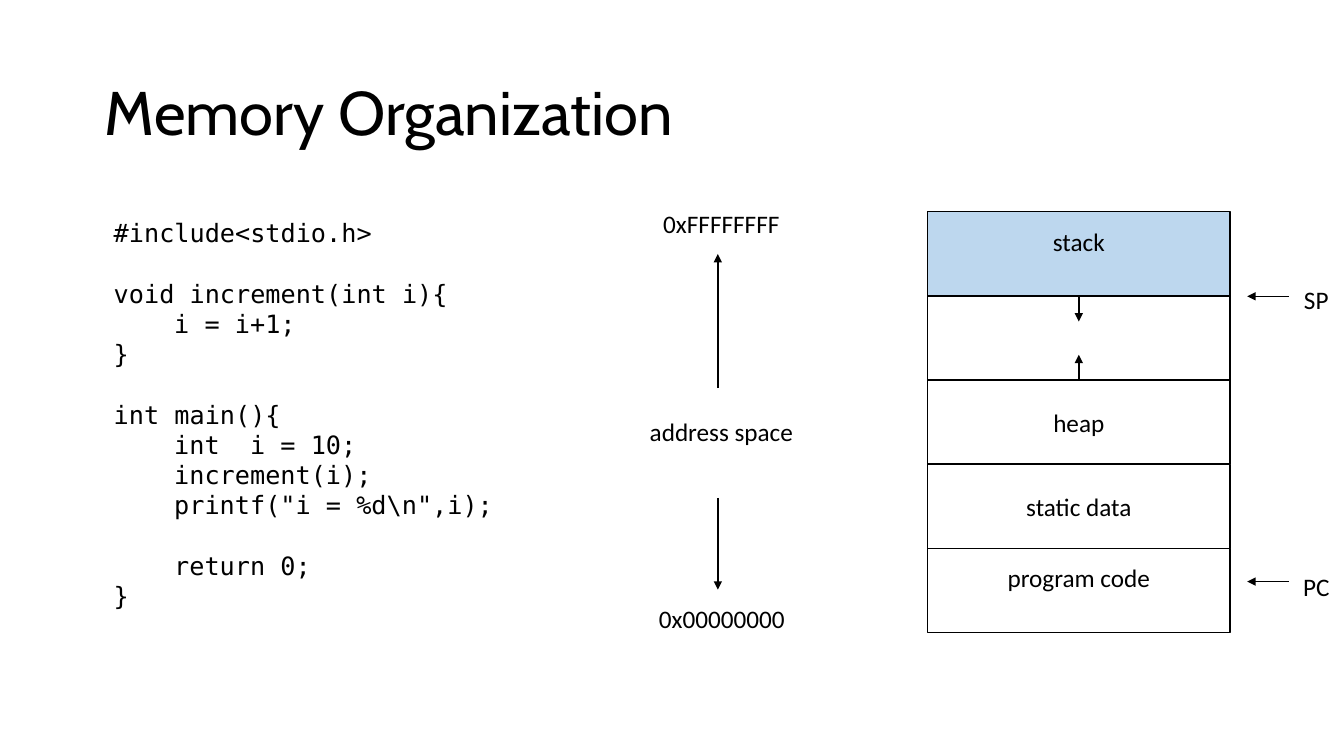
from lxml import etree
from pptx import Presentation
from pptx.dml.color import RGBColor
from pptx.enum.shapes import MSO_CONNECTOR, MSO_SHAPE
from pptx.enum.text import MSO_ANCHOR, MSO_AUTO_SIZE, PP_ALIGN
from pptx.oxml.ns import qn
from pptx.util import Inches, Pt

RECT = MSO_SHAPE.RECTANGLE
LINE = MSO_CONNECTOR.STRAIGHT
LEFT = PP_ALIGN.LEFT
MID = PP_ALIGN.CENTER
TOP = MSO_ANCHOR.TOP
CENTER = MSO_ANCHOR.MIDDLE
FIXED = MSO_AUTO_SIZE.NONE
BLACK = "000000"


def color(code):
    return RGBColor.from_string(code)


def write(frame, text, font="Calibri", size=18, align=MID, anchor=TOP, space=None):
    frame.word_wrap = True
    frame.auto_size = FIXED
    frame.vertical_anchor = anchor
    frame.text = text
    for para in frame.paragraphs:
        para.alignment = align
        para.line_spacing = space
        para.font.name = font
        para.font.size = Pt(size)
        para.font.color.rgb = color(BLACK)


deck = Presentation()
deck.slide_width = Inches(13.33)
deck.slide_height = Inches(7.5)
slide = deck.slides.add_slide(deck.slide_layouts[5])
shapes = slide.shapes

title = shapes.title
title.left, title.top = Inches(0.94), Inches(0.42)
title.width, title.height = Inches(11.5), Inches(1.45)
write(title.text_frame, "Memory Organization", font="Cabin", size=44,
      align=LEFT, anchor=CENTER, space=0.9)

code = [
    ("#include<stdio.h>", 0, 0),
    ("void increment(int i){", 0, 1),
    ("i = i+1;", 1, 0),
    ("}", 0, 0),
    ("int main(){", 0, 1),
    ("int  i = 10;", 1, 0),
    ("increment(i);", 1, 0),
    ('printf("i = %d\\n",i);', 1, 0),
    ("return 0;", 1, 1),
    ("}", 0, 0),
]
pitch = Pt(21.6)
box = shapes.add_textbox(Inches(1.03), Inches(2.11), Inches(5), Inches(4.34))
write(box.text_frame, "\n".join(row[0] for row in code),
      font="DejaVu Sans Mono", align=LEFT, space=pitch)
for para, (text, depth, gap) in zip(box.text_frame.paragraphs, code):
    para.space_before = pitch * gap
    para._p.get_or_add_pPr().set("marL", str(Inches(0.6) * depth))

labels = [
    ("0xFFFFFFFF", 6.31, 2.02, 1.69),
    ("address space", 6.24, 4.08, 1.83),
    ("0x00000000", 6.37, 5.94, 1.58),
    ("SP", 12.78, 2.77, 0.55),
    ("PC", 12.78, 5.62, 0.55),
]
for text, left, top, width in labels:
    box = shapes.add_textbox(Inches(left), Inches(top), Inches(width), Inches(0.4))
    write(box.text_frame, text)

cells = [
    ("stack", "BDD7EE", 0.3),
    ("", "FFFFFF", 0.05),
    ("heap", "FFFFFF", 0.05),
    ("static data", "FFFFFF", 0.05),
    ("program code", "FFFFFF", 0.3),
]
step = 0.835
for row, (text, fill, inset) in enumerate(cells):
    cell = shapes.add_shape(RECT, Inches(9.2), Inches(2.1 + row * step),
                            Inches(3), Inches(step))
    cell.shadow.inherit = False
    cell.fill.solid()
    cell.fill.fore_color.rgb = color(fill)
    cell.line.color.rgb = color(BLACK)
    cell.line.width = Pt(1)
    cell.text_frame.margin_bottom = Inches(inset)
    if text:
        write(cell.text_frame, text, anchor=CENTER)

arrows = [
    (7.12, 3.85, 7.12, 2.52),
    (7.12, 4.94, 7.12, 5.85),
    (10.7, 2.94, 10.7, 3.19),
    (10.7, 3.77, 10.7, 3.52),
    (12.78, 2.94, 12.37, 2.94),
    (12.78, 5.77, 12.37, 5.77),
]
for ends in arrows:
    arrow = shapes.add_connector(LINE, *[Inches(end) for end in ends])
    arrow.line.color.rgb = color(BLACK)
    arrow.line.width = Pt(1)
    etree.SubElement(arrow.line._get_or_add_ln(), qn("a:tailEnd"), type="triangle")
    etree.SubElement(arrow._element.spPr, qn("a:effectLst"))

deck.save("out.pptx")
